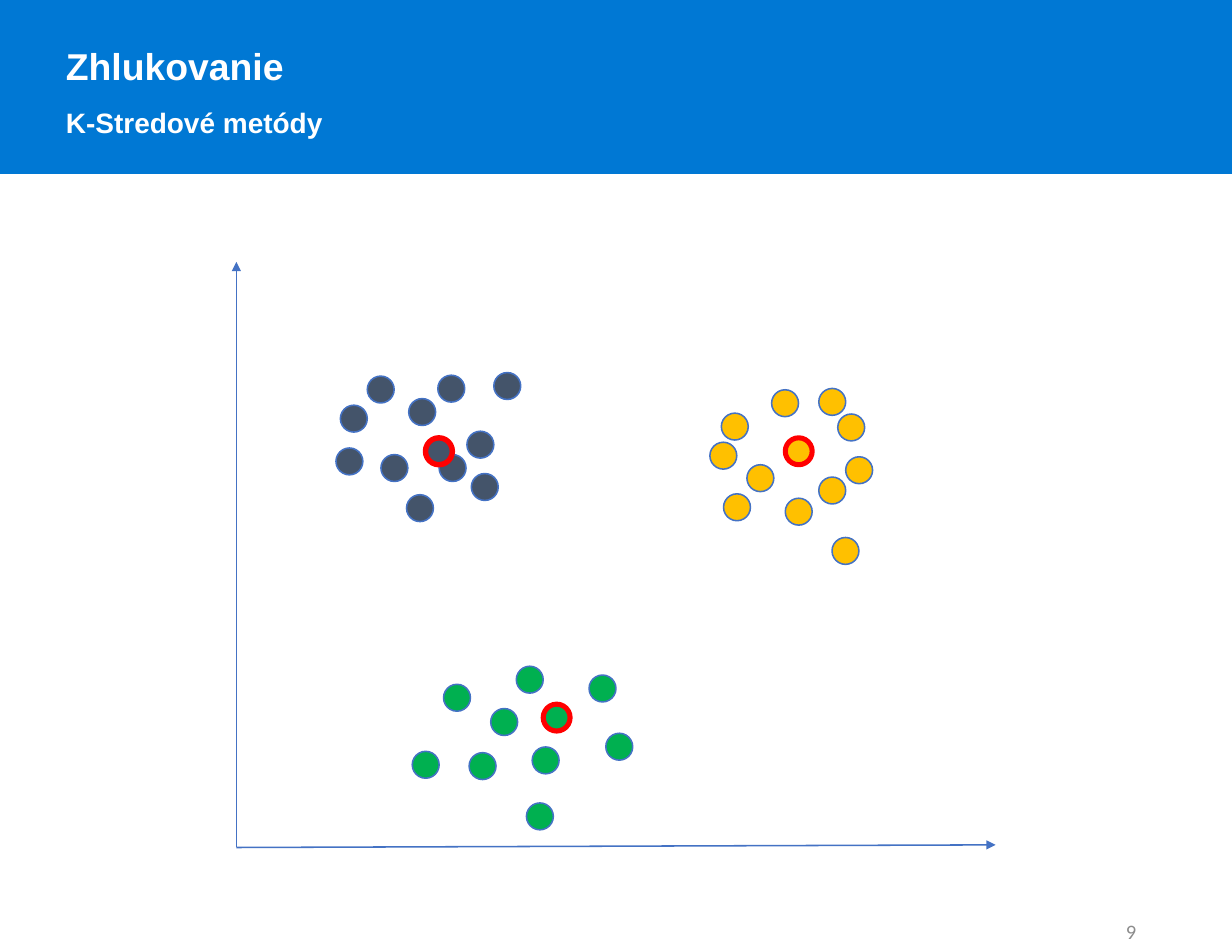
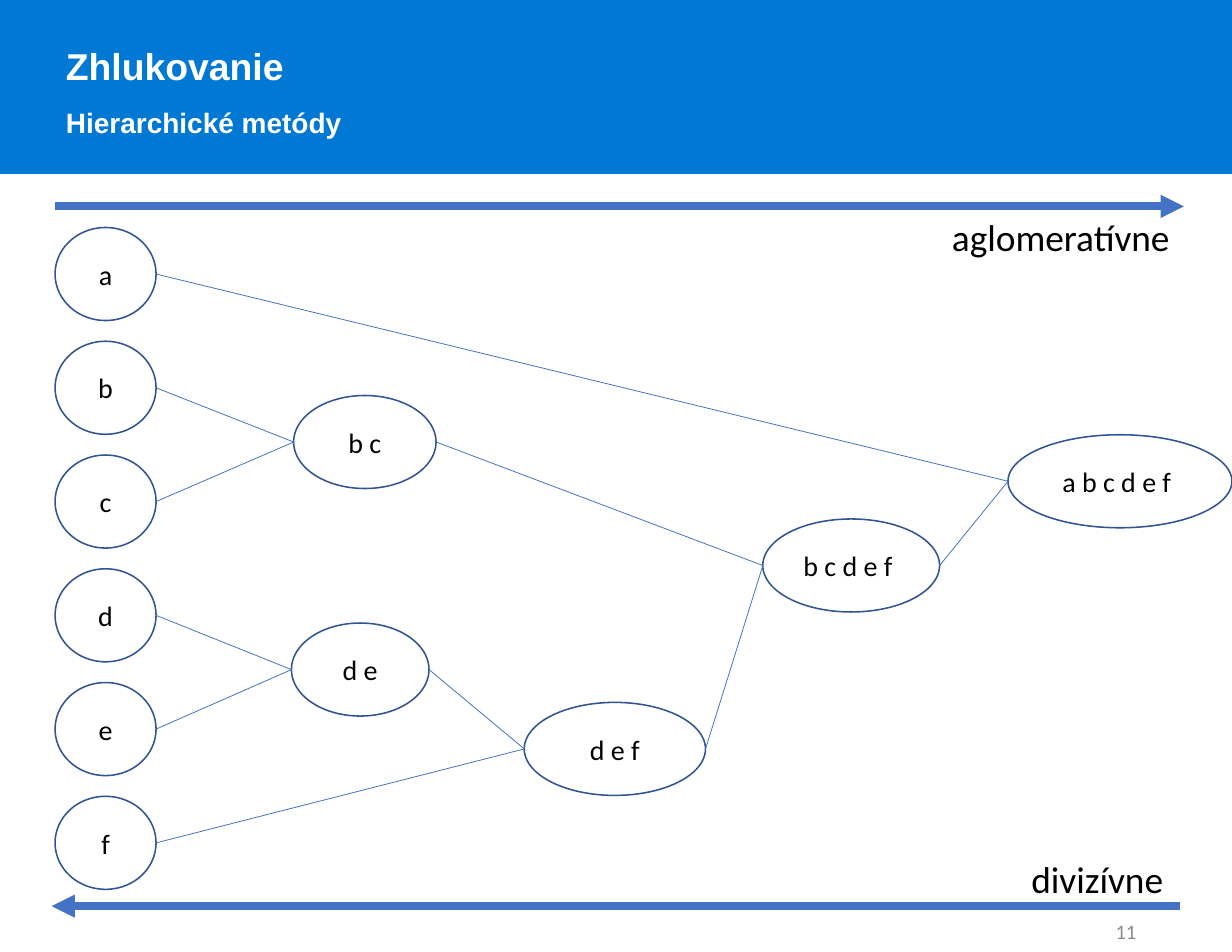
from lxml import etree
from pptx import Presentation
from pptx.dml.color import RGBColor
from pptx.enum.shapes import MSO_CONNECTOR, MSO_SHAPE
from pptx.enum.text import MSO_ANCHOR, MSO_AUTO_SIZE, PP_ALIGN
from pptx.oxml.ns import qn
from pptx.util import Cm, Pt

STRAIGHT = MSO_CONNECTOR.STRAIGHT
RECTANGLE, OVAL = MSO_SHAPE.RECTANGLE, MSO_SHAPE.OVAL
TOP, MIDDLE = MSO_ANCHOR.TOP, MSO_ANCHOR.MIDDLE
LEFT, CENTER, RIGHT = PP_ALIGN.LEFT, PP_ALIGN.CENTER, PP_ALIGN.RIGHT
NO_AUTOFIT = MSO_AUTO_SIZE.NONE

BAND_BLUE = RGBColor(0x00, 0x78, 0xD4)
LINE_BLUE = RGBColor(0x44, 0x72, 0xC4)
NODE_BLUE = RGBColor(0x32, 0x54, 0x91)
SLATE = RGBColor(0x44, 0x54, 0x6A)
AMBER = RGBColor(0xFF, 0xC0, 0x00)
GREEN = RGBColor(0x00, 0xB0, 0x50)
RED = RGBColor(0xFF, 0x00, 0x00)
GREY = RGBColor(0x8C, 0x8C, 0x8C)
BLACK = RGBColor(0x00, 0x00, 0x00)
WHITE = RGBColor(0xFF, 0xFF, 0xFF)

# All lengths below are centimetres; boxes are left, top, width, height
SLIDE_W, SLIDE_H = 27.94, 21.59
BAND_BOX = (0, 0, SLIDE_W, 3.94)
TITLE_BOX = (1.24, 0.35, 25.86, 2.82)
# The page number stays clear of the arrow at the foot of the hierarchy
NUMBER_BOX = (19.72, 20.72, 6.3, 0.82)
PLOT_BOX = (5.36, 5.94, 17.22, 13.28)
TREE_BOX = (1.25, 4.68, 25.6, 15.87)

# Clusters: colour, centre, centre outline in points, other points
DOT = 0.61
CLUSTERS = [
    (SLATE, (4.29, 3.99), 3.5,
     [(2.36, 3.25), (2.97, 2.59), (4.57, 2.57), (3.28, 4.37), (4.6, 4.37), (5.23, 3.84),
      (3.91, 3.1), (5.33, 4.8), (5.84, 2.51), (2.26, 4.22), (3.86, 5.28)]),
    (AMBER, (12.45, 3.99), 3.25,
     [(10.74, 4.09), (12.14, 2.9), (13.64, 3.45), (12.45, 5.36), (13.21, 4.88), (11.05, 5.26),
      (11, 3.43), (13.21, 2.87), (11.58, 4.6), (13.51, 6.25), (13.82, 4.42)]),
    (GREEN, (6.96, 10.03), 3.25,
     [(4.7, 9.58), (5.28, 11.13), (6.35, 9.17), (8, 9.37), (6.71, 11), (5.77, 10.13),
      (8.38, 10.69), (6.58, 12.27), (3.99, 11.1)]),
]

# Hierarchy: leaves in a column, then each merge as text, left, top, width, children
NODE_H = 2.11
LEAF_W, LEAF_TOP, LEAF_PITCH = 2.29, 0.48, 2.58
MERGES = [
    ("b c", 5.41, 4.29, 3.23, ("b", "c")),
    ("d e", 5.36, 9.45, 3.12, ("d", "e")),
    ("d e f", 10.64, 11.25, 4.11, ("d e", "f")),
    ("b c d e f ", 16.05, 7.09, 4.01, ("b c", "d e f")),
    ("a b c d e f ", 21.61, 5.18, 5.08, ("a", "b c d e f ")),
]


def to_cm(box):
    return [Cm(length) for length in box]


def write(frame, text, *, size, font="Calibri", color=BLACK, bold=False,
          align=LEFT, anchor=TOP, spacing=None, wrap=True):
    """Add one paragraph to the frame, using its empty first one if possible."""
    frame.word_wrap = wrap
    frame.vertical_anchor = anchor
    paragraph = frame.add_paragraph() if frame.text else frame.paragraphs[0]
    paragraph.alignment = align
    paragraph.line_spacing = spacing
    run = paragraph.add_run()
    run.text = text
    run.font.name, run.font.size, run.font.bold = font, Pt(size), bold
    run.font.color.rgb = color


def add_figure(slide, preset, box, *, fill=None, line=LINE_BLUE, width=1):
    figure = slide.shapes.add_shape(preset, *to_cm(box))
    figure.shadow.inherit = False
    if fill is None:
        figure.fill.background()
    else:
        figure.fill.solid()
        figure.fill.fore_color.rgb = fill
    figure.line.color.rgb = line
    figure.line.width = Pt(width)
    return figure


def add_line(slide, start, end, *, width, arrow=False):
    line = slide.shapes.add_connector(STRAIGHT, *to_cm((*start, *end)))
    line.line.color.rgb = LINE_BLUE
    line.line.width = Pt(width)
    if arrow:
        etree.SubElement(line.line._get_or_add_ln(), qn("a:tailEnd"), type="triangle")
    etree.SubElement(line._element.spPr, qn("a:effectLst"))


def add_label(slide, text, box, **text_format):
    label = slide.shapes.add_textbox(*to_cm(box))
    write(label.text_frame, text, **text_format)


def add_frame(deck, subtitle, number):
    """Add a slide with the band, heading and page number that all slides share."""
    slide = deck.slides.add_slide(deck.slide_layouts[5])
    band = add_figure(slide, RECTANGLE, BAND_BOX, fill=BAND_BLUE, line=BAND_BLUE)

    heading = slide.shapes.title
    band._element.addnext(heading._element)
    heading.left, heading.top, heading.width, heading.height = to_cm(TITLE_BOX)
    heading.text_frame.auto_size = NO_AUTOFIT
    for text, size in (("Zhlukovanie", 24), (subtitle, 18)):
        write(heading.text_frame, text, size=size, font="Arial", color=WHITE,
              bold=True, spacing=1.5)

    add_label(slide, number, NUMBER_BOX, size=13.2, color=GREY, align=RIGHT, anchor=MIDDLE)
    return slide


def draw_clusters(slide, box):
    left, top, width, height = box
    # Axes
    origin = (left, top + height)
    add_line(slide, origin, (left, top), width=1, arrow=True)
    add_line(slide, origin, (left + width, top + height - 0.06), width=1, arrow=True)

    # Points, with the cluster centre on top
    for color, centre, centre_width, points in CLUSTERS:
        dots = [(point, LINE_BLUE, 1) for point in points] + [(centre, RED, centre_width)]
        for (x, y), outline, outline_width in dots:
            add_figure(slide, OVAL, (left + x, top + y, DOT, DOT),
                       fill=color, line=outline, width=outline_width)


def draw_hierarchy(slide, box):
    left, top, width, height = box
    nodes = {}

    def add_node(text, x, y, node_width):
        nodes[text] = (left + x, top + y, node_width, NODE_H)
        node = add_figure(slide, OVAL, nodes[text], line=NODE_BLUE)
        write(node.text_frame, text, size=18, align=CENTER, anchor=MIDDLE)

    # Nodes and the links from each merge to its children
    for row, leaf in enumerate("abcdef"):
        add_node(leaf, 0, LEAF_TOP + row * LEAF_PITCH, LEAF_W)
    for text, x, y, node_width, children in MERGES:
        add_node(text, x, y, node_width)
        for child in children:
            child_x, child_y, child_w, _ = nodes[child]
            add_line(slide, (child_x + child_w, child_y + NODE_H / 2),
                     (left + x, top + y + NODE_H / 2), width=0.5)

    # Direction arrows and their labels
    bottom = top + height
    add_line(slide, (left, top), (left + width, top), width=5, arrow=True)
    add_line(slide, (left + width - 0.08, bottom), (left - 0.08, bottom), width=5, arrow=True)
    add_label(slide, "aglomeratívne", (left + 20.09, top + 0.05, 5.51, 1.27),
              size=24, wrap=False)
    add_label(slide, "divizívne", (left + 21.89, bottom - 1.25, 3.53, 1.27),
              size=24, wrap=False)


def main():
    deck = Presentation()
    deck.slide_width, deck.slide_height = Cm(SLIDE_W), Cm(SLIDE_H)
    draw_clusters(add_frame(deck, "K-Stredové metódy", "9"), PLOT_BOX)
    draw_hierarchy(add_frame(deck, "Hierarchické metódy", "11"), TREE_BOX)
    deck.save("out.pptx")


if __name__ == "__main__":
    main()
